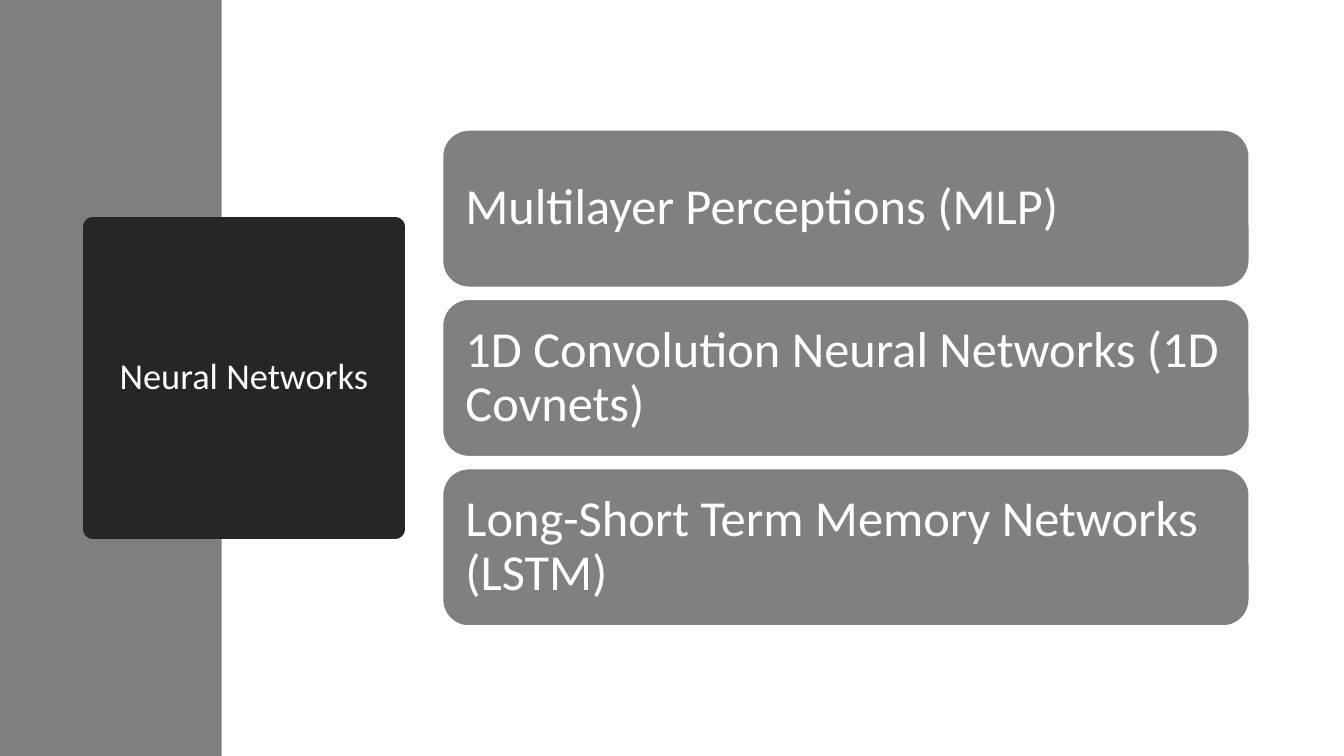
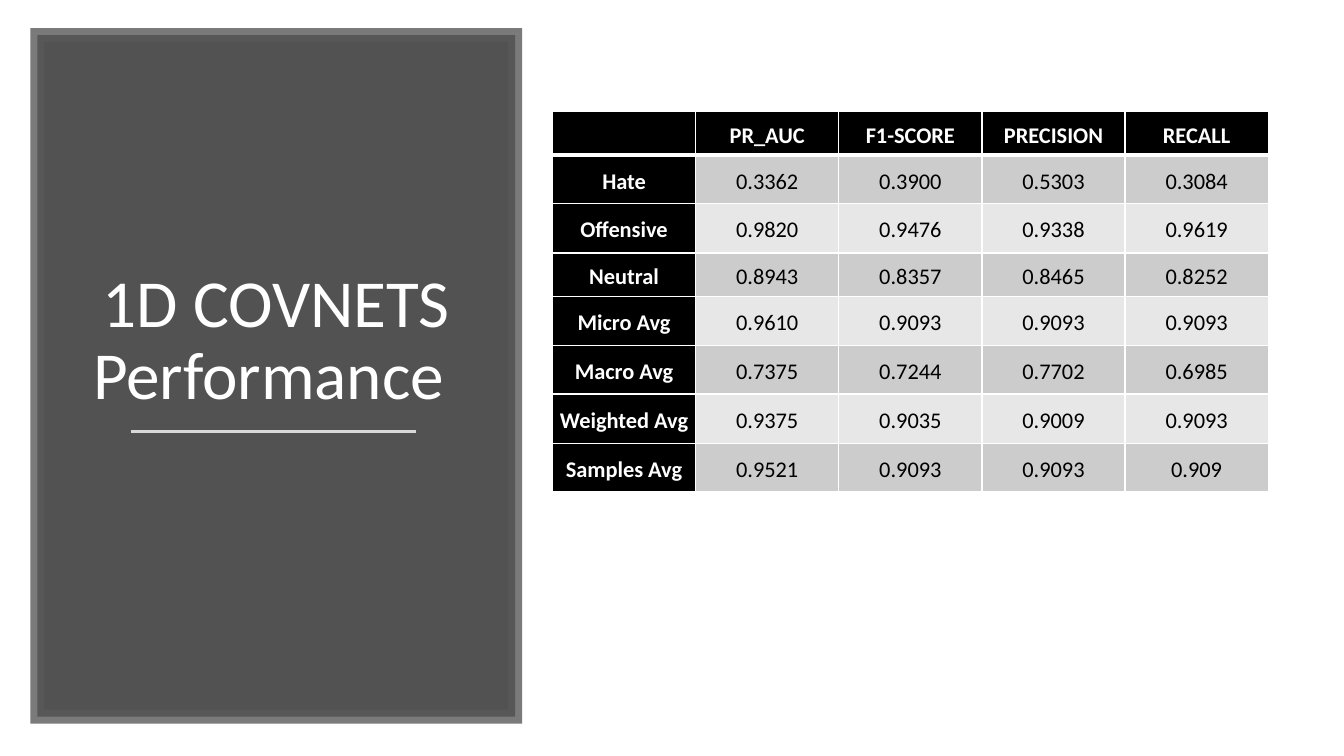
import pptx
import pptx.dml.color
import pptx.enum.shapes
import pptx.enum.text
import pptx.oxml.ns
import pptx.util
from lxml import etree

Inches, Pt = pptx.util.Inches, pptx.util.Pt
qn = pptx.oxml.ns.qn
SHAPES = pptx.enum.shapes.MSO_SHAPE
ALIGN = pptx.enum.text.PP_ALIGN
ANCHOR = pptx.enum.text.MSO_ANCHOR

# Content
NETWORKS_TITLE = "Neural Networks"
NETWORKS = [
    "Multilayer Perceptions (MLP)",
    "1D Convolution Neural Networks (1D Covnets)",
    "Long-Short Term Memory Networks (LSTM)",
]
PERFORMANCE_TITLE = "1D COVNETS Performance "
SCORES = [
    ("", "PR_AUC", "F1-SCORE", "PRECISION", "RECALL"),
    ("Hate", "0.3362", "0.3900", "0.5303", "0.3084"),
    ("Offensive", "0.9820", "0.9476", "0.9338", "0.9619"),
    ("Neutral", "0.8943", "0.8357", "0.8465", "0.8252"),
    ("Micro Avg", "0.9610", "0.9093", "0.9093", "0.9093"),
    ("Macro Avg", "0.7375", "0.7244", "0.7702", "0.6985"),
    ("Weighted Avg", "0.9375", "0.9035", "0.9009", "0.9093"),
    ("Samples Avg", "0.9521", "0.9093", "0.9093", "0.909"),
]
ROW_HEIGHTS = [0.43, 0.48, 0.49, 0.43, 0.49, 0.48, 0.49, 0.48]
COLUMN_WIDTH = 1.42

# Shared style
FONT = "Calibri"
WHITE, BLACK = "FFFFFF", "000000"
BAND, CARD, TITLE_BOX = "7F7F7F", "808080", "262626"
PANEL, PANEL_EDGE, RULE = "404040", "595959", "D9D9D9"
ROW_FILLS = ("E7E7E7", "CCCCCC")
TIGHT = {"line_spacing": 0.9}
CELL_SPACING = {"alignment": ALIGN.CENTER, "line_spacing": 1.15,
                "space_before": Pt(6), "space_after": Pt(2)}


def rgb(value):
    return pptx.dml.color.RGBColor.from_string(value)


def apply(target, formats):
    for name, value in formats.items():
        setattr(target, name, value)


def paint(shape, fill, line=None, width=1):
    shape.fill.solid()
    shape.fill.fore_color.rgb = rgb(fill)
    if line:
        shape.line.color.rgb = rgb(line)
        shape.line.width = Pt(width)
    else:
        shape.line.fill.background()


def write(frame, text, size, color=WHITE, bold=False, **paragraph_formats):
    paragraph = frame.paragraphs[0]
    apply(paragraph, paragraph_formats)
    run = paragraph.add_run()
    run.text = text
    apply(run.font, {"name": FONT, "size": Pt(size), "bold": bold})
    run.font.color.rgb = rgb(color)


def add_shape(slide, kind, box, fill, **line):
    shape = slide.shapes.add_shape(kind, *map(Inches, box))
    shape.shadow.inherit = False
    paint(shape, fill, **line)
    return shape


def send_to_back(shape):
    shape.element.getparent().insert(2, shape.element)


def add_titled_slide(presentation, text, size, box, anchor):
    slide = presentation.slides.add_slide(presentation.slide_layouts[5])
    title = slide.shapes.title
    apply(title, dict(zip(("left", "top", "width", "height"), map(Inches, box))))
    apply(title.text_frame, {"vertical_anchor": anchor, "word_wrap": True,
                             "auto_size": pptx.enum.text.MSO_AUTO_SIZE.NONE})
    write(title.text_frame, text, size, alignment=ALIGN.CENTER, **TIGHT)
    return slide


def set_border(cell, side, width):
    line = etree.SubElement(cell._tc.get_or_add_tcPr(), qn("a:ln" + side), w=str(Pt(width)))
    fill = etree.SubElement(line, qn("a:solidFill"))
    etree.SubElement(fill, qn("a:srgbClr"), val=WHITE)


def build_networks(presentation):
    slide = add_titled_slide(presentation, NETWORKS_TITLE, 26,
                             (0.92, 2.25, 3, 3), ANCHOR.MIDDLE)
    paint(slide.shapes.title, TITLE_BOX, TITLE_BOX, 13.75)
    send_to_back(add_shape(slide, SHAPES.RECTANGLE, (0, 0, 2.2, 7.5), BAND))

    # Equal cards, one per network type
    top, height, gap = 1.29, 1.56, 0.12
    for index, text in enumerate(NETWORKS):
        box = (4.39, top + index * (height + gap), 8, height)
        card = add_shape(slide, SHAPES.ROUNDED_RECTANGLE, box, CARD, line=WHITE)
        frame = card.text_frame
        apply(frame, {"margin_" + side: Inches(0.15)
                      for side in ("left", "top", "right", "bottom")})
        apply(frame, {"word_wrap": True, "vertical_anchor": ANCHOR.MIDDLE})
        write(frame, text, 36, alignment=ALIGN.LEFT, **TIGHT)


def build_performance(presentation):
    slide = add_titled_slide(presentation, PERFORMANCE_TITLE, 48,
                             (0.74, 1, 4, 3.16), ANCHOR.BOTTOM)

    # Translucent panel with square corners behind the title
    panel = add_shape(slide, SHAPES.RECTANGLE, (0.37, 0.35, 4.74, 6.76), PANEL,
                      line=PANEL_EDGE, width=10)
    properties = panel.element.spPr
    for color, percent in zip(properties.iter(qn("a:srgbClr")), (90, 80)):
        etree.SubElement(color, qn("a:alpha"), val=str(percent * 1000))
    etree.SubElement(properties.find(qn("a:ln")), qn("a:miter"), lim="800000")
    send_to_back(panel)

    # Rule under the title
    rule = slide.shapes.add_connector(pptx.enum.shapes.MSO_CONNECTOR.STRAIGHT,
                                      *map(Inches, (1.3, 4.28, 4.13, 4.28)))
    rule.line.color.rgb = rgb(RULE)
    rule.line.width = Pt(1.75)
    etree.SubElement(rule.element.spPr, qn("a:effectLst"))

    # Score table
    columns = len(SCORES[0])
    table = slide.shapes.add_table(
        len(SCORES), columns, Inches(5.48), Inches(1.11),
        Inches(COLUMN_WIDTH * columns), Inches(sum(ROW_HEIGHTS))).table
    for column in table.columns:
        column.width = Inches(COLUMN_WIDTH)
    for row_index, (values, height) in enumerate(zip(SCORES, ROW_HEIGHTS)):
        table.rows[row_index].height = Inches(height)
        for column_index, value in enumerate(values):
            cell = table.cell(row_index, column_index)
            heading = row_index == 0 or column_index == 0
            widths = {"L": 1, "R": 1, "T": 3 if row_index == 1 else 1,
                      "B": 3 if row_index == 0 else 1}
            for side, width in widths.items():
                set_border(cell, side, width)
            cell.fill.solid()
            cell.fill.fore_color.rgb = rgb(BLACK if heading else ROW_FILLS[row_index % 2])
            apply(cell, {"vertical_anchor": ANCHOR.MIDDLE,
                         "margin_left": Inches(0.07), "margin_right": Inches(0.07),
                         "margin_top": 0, "margin_bottom": 0})
            if value:
                write(cell.text_frame, value, 16, WHITE if heading else BLACK,
                      heading, **CELL_SPACING)


def main():
    presentation = pptx.Presentation()
    presentation.slide_width = Inches(13.33)
    presentation.slide_height = Inches(7.5)
    build_networks(presentation)
    build_performance(presentation)
    presentation.save("out.pptx")


if __name__ == "__main__":
    main()
